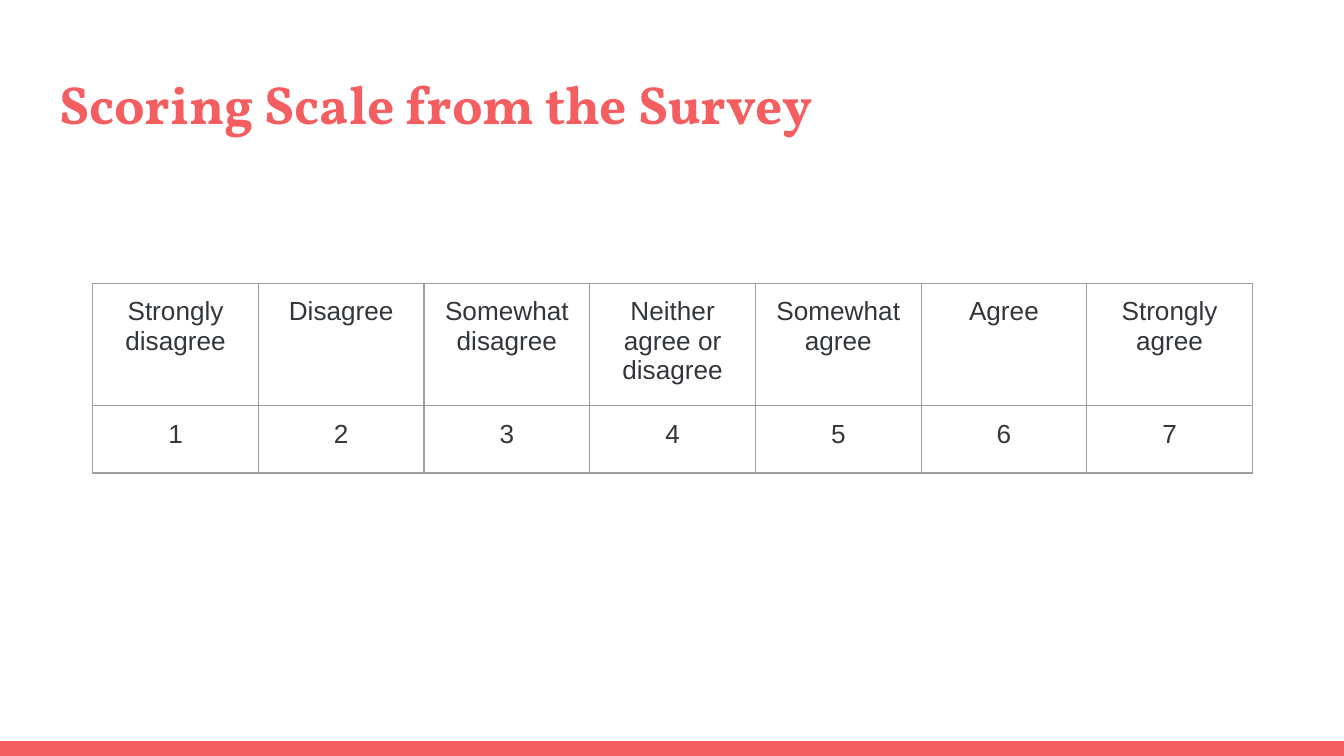
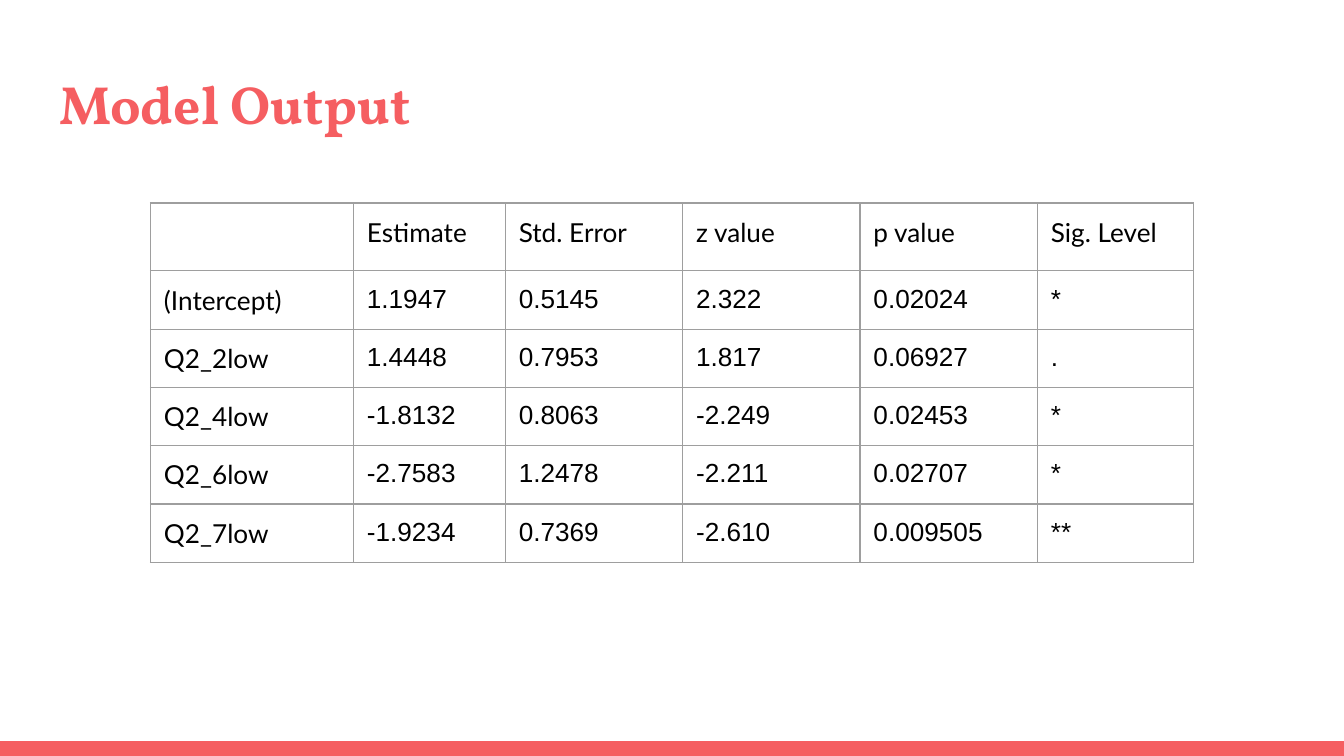
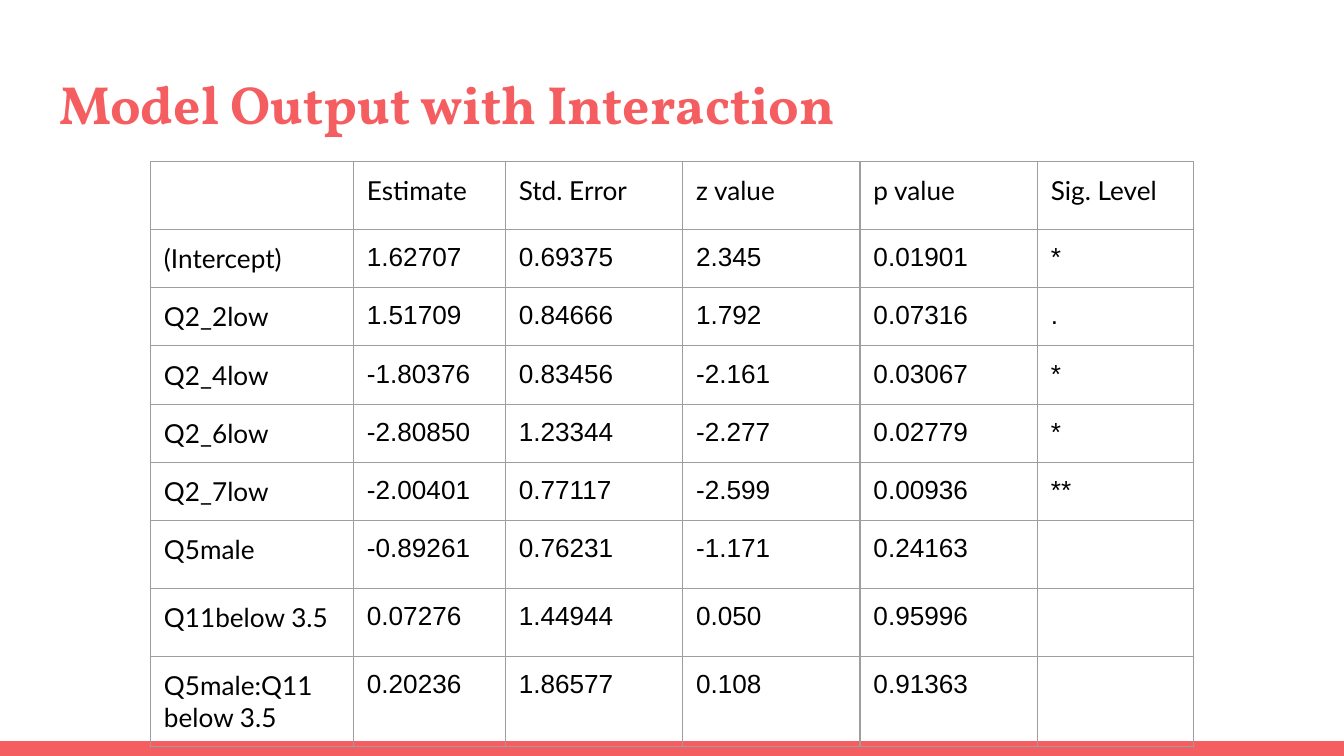
from dataclasses import dataclass

from lxml import etree
from pptx import Presentation
from pptx.dml.color import RGBColor
from pptx.enum.shapes import MSO_SHAPE
from pptx.enum.text import MSO_ANCHOR, MSO_AUTO_SIZE, PP_ALIGN
from pptx.oxml.ns import qn
from pptx.util import Inches, Pt

RECT = MSO_SHAPE.RECTANGLE
TOP = MSO_ANCHOR.TOP
NO_FIT = MSO_AUTO_SIZE.NONE
LEFT, CENTER = PP_ALIGN.LEFT, PP_ALIGN.CENTER

COLORS = {"accent": "F55E61", "border": "9E9E9E", "slate": "32363A", "black": "000000"}
TITLE_FONT, LABEL_FONT, VALUE_FONT = "Vollkorn", "Lato", "Arial"
WIDTH, HEIGHT = Inches(10), Inches(5.625)
GRID_COLUMNS = 100
UNIT = WIDTH // GRID_COLUMNS
INSET = UNIT
TITLE_ONLY = 5


@dataclass(frozen=True)
class TableSlide:
    title: str
    left: float
    top: float
    columns: tuple[float, ...]
    row_heights: tuple[float, ...]
    rows: tuple[tuple[str, ...], ...]
    label_font: str = LABEL_FONT
    color: str = "black"
    align: PP_ALIGN = LEFT


MODEL_LEFT = 11.2
MODEL_COLUMNS = (15.1, 11.3, 13.2, 13.2, 13.2, 11.6)
MODEL_ROW = 4.2
MODEL_HEADER = ("", "Estimate", "Std. Error", "z value", "p value", "Sig. Level")

MODEL_ROWS = (
    MODEL_HEADER,
    ("(Intercept)", "1.1947", "0.5145", "2.322", "0.02024", "*"),
    ("Q2_2low", "1.4448", "0.7953", "1.817", "0.06927", "."),
    ("Q2_4low", "-1.8132", "0.8063", "-2.249", "0.02453", "*"),
    ("Q2_6low", "-2.7583", "1.2478", "-2.211", "0.02707", "*"),
    ("Q2_7low", "-1.9234", "0.7369", "-2.610", "0.009505", "**"),
)

INTERACTION_ROWS = (
    MODEL_HEADER,
    ("(Intercept)", "1.62707", "0.69375", "2.345", "0.01901", "*"),
    ("Q2_2low", "1.51709", "0.84666", "1.792", "0.07316", "."),
    ("Q2_4low", "-1.80376", "0.83456", "-2.161", "0.03067", "*"),
    ("Q2_6low", "-2.80850", "1.23344", "-2.277", "0.02779", "*"),
    ("Q2_7low", "-2.00401", "0.77117", "-2.599", "0.00936", "**"),
    ("Q5male", "-0.89261", "0.76231", "-1.171", "0.24163", ""),
    ("Q11below 3.5", "0.07276", "1.44944", "0.050", "0.95996", ""),
    ("Q5male:Q11 below 3.5", "0.20236", "1.86577", "0.108", "0.91363", ""),
)

SCALE_ROWS = (
    ("Strongly disagree", "Disagree", "Somewhat disagree", "Neither agree or disagree",
     "Somewhat agree", "Agree", "Strongly agree"),
    tuple(str(score) for score in range(1, 8)),
)

SLIDES = (
    TableSlide("Scoring Scale from the Survey", 6.9, 21.1, (12.33,) * 7, (9.1, 5),
               SCALE_ROWS, label_font=VALUE_FONT, color="slate", align=CENTER),
    TableSlide("Model Output", MODEL_LEFT, 15.1, MODEL_COLUMNS,
               (MODEL_ROW,) * len(MODEL_ROWS), MODEL_ROWS),
    TableSlide("Model Output with Interaction", MODEL_LEFT, 12, MODEL_COLUMNS,
               (MODEL_ROW,) * len(INTERACTION_ROWS), INTERACTION_ROWS),
)


def grid(count: float) -> int:
    return round(count * UNIT)


def write(tf, text: str, *, font: str, size: float, color: str,
          bold: bool = False, align: PP_ALIGN = LEFT) -> None:
    p = tf.paragraphs[0]
    p.alignment = align
    if not text:
        return
    r = p.add_run()
    r.text = text
    r.font.name = font
    r.font.size = Pt(size)
    r.font.bold = bold
    r.font.color.rgb = RGBColor.from_string(COLORS[color])


def add_band(slide) -> None:
    height = grid(1.1)
    sp = slide.shapes.add_shape(RECT, 0, HEIGHT - height, WIDTH, height)
    sp.shadow.inherit = False
    sp.fill.solid()
    sp.fill.fore_color.rgb = RGBColor.from_string(COLORS["accent"])
    sp.line.fill.background()


def set_title(slide, text: str) -> None:
    sp = slide.shapes.title
    sp.left, sp.top, sp.width, sp.height = map(grid, (3.4, 4.3, 93.2, 6.8))
    tf = sp.text_frame
    tf.margin_left = tf.margin_right = tf.margin_top = tf.margin_bottom = INSET
    tf.vertical_anchor = TOP
    tf.auto_size = NO_FIT
    tf.word_wrap = True
    write(tf, text, font=TITLE_FONT, size=28.8, color="accent", bold=True)


def set_borders(cell) -> None:
    props = cell._tc.get_or_add_tcPr()
    for side in ("a:lnL", "a:lnR", "a:lnT", "a:lnB"):
        line = etree.SubElement(props, qn(side), w=str(Pt(0.75)))
        fill = etree.SubElement(line, qn("a:solidFill"))
        etree.SubElement(fill, qn("a:srgbClr"), val=COLORS["border"])


def add_data_table(slide, data: TableSlide) -> None:
    frame = slide.shapes.add_table(
        len(data.rows), len(data.columns), grid(data.left), grid(data.top),
        grid(sum(data.columns)), grid(sum(data.row_heights)))
    table = frame.table
    table.first_row = table.horz_banding = False
    for column, width in zip(table.columns, data.columns):
        column.width = grid(width)
    for row, height in zip(table.rows, data.row_heights):
        row.height = grid(height)
    for i, values in enumerate(data.rows):
        for j, text in enumerate(values):
            cell = table.cell(i, j)
            cell.margin_left = cell.margin_right = INSET
            cell.margin_top = cell.margin_bottom = INSET
            set_borders(cell)
            cell.fill.background()
            is_label = i == 0 or j == 0
            write(cell.text_frame, text, font=data.label_font if is_label else VALUE_FONT,
                  size=14, color=data.color, align=data.align)


def main() -> None:
    prs = Presentation()
    prs.slide_width, prs.slide_height = WIDTH, HEIGHT
    for data in SLIDES:
        slide = prs.slides.add_slide(prs.slide_layouts[TITLE_ONLY])
        add_band(slide)
        set_title(slide, data.title)
        add_data_table(slide, data)
    prs.save("out.pptx")


if __name__ == "__main__":
    main()
